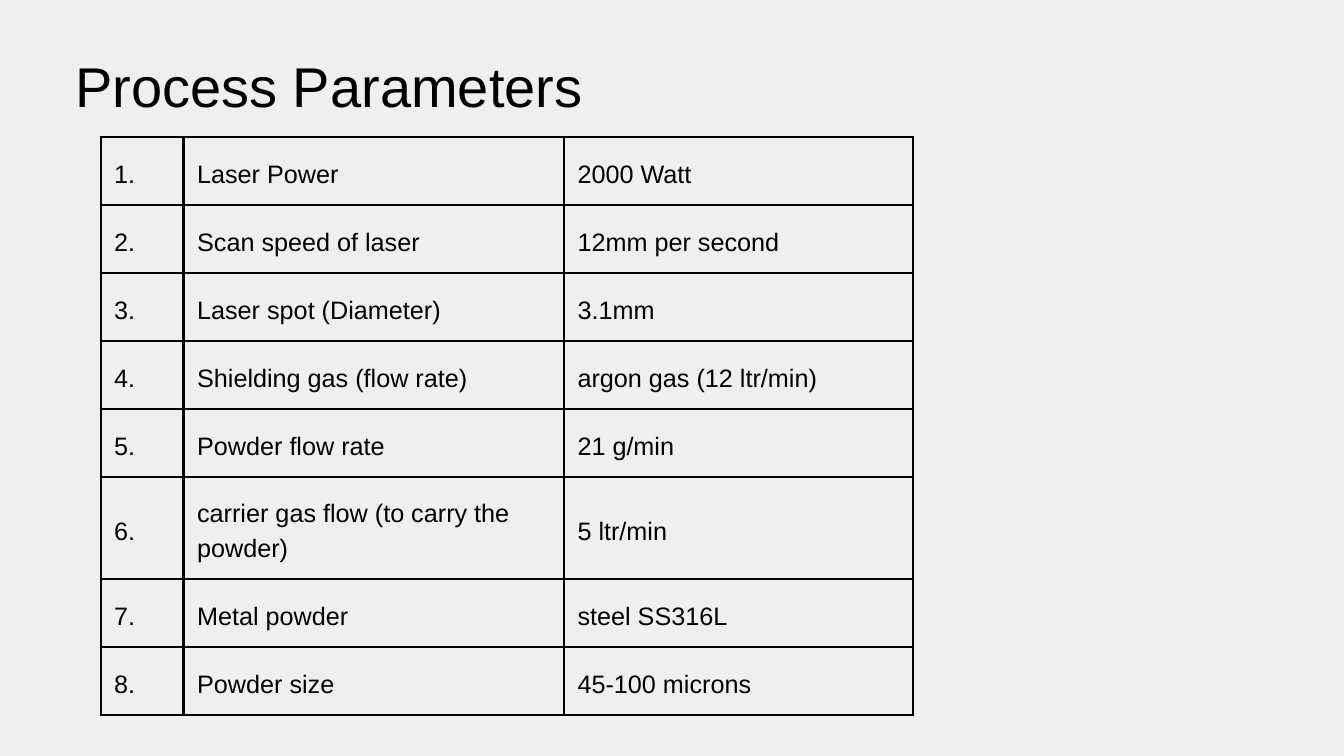
from pptx import Presentation
from pptx.dml.color import RGBColor as RGB
from pptx.enum.text import MSO_ANCHOR as Anchor
from pptx.util import Pt
from lxml.etree import SubElement as Sub
from pptx.oxml.ns import qn


def paint(fill, color):
    fill.solid()
    fill.fore_color.rgb = RGB.from_string(color)


def write(frame, text, size=27, line=37.8, inset=14.4, color="000000"):
    frame.word_wrap = True
    frame.margin_left = frame.margin_right = Pt(inset)
    frame.margin_top = frame.margin_bottom = Pt(inset)
    para = frame.paragraphs[0]
    para.line_spacing = Pt(line)
    run = para.add_run()
    run.text = text
    run.font.name = "Arial"
    run.font.size = Pt(size)
    paint(run.font.fill, color)


deck = Presentation()
deck.slide_width, deck.slide_height = Pt(1440), Pt(810)
slide = deck.slides.add_slide(deck.slide_layouts[6])
paint(slide.background.fill, "EFEFEF")

# Parameter table
rows = [
    ("Laser Power", "2000 Watt"),
    ("Scan speed of laser", "12mm per second"),
    ("Laser spot (Diameter)", "3.1mm"),
    ("Shielding gas (flow rate)", "argon gas (12 ltr/min)"),
    ("Powder flow rate", "21 g/min"),
    ("carrier gas flow (to carry the powder)", "5 ltr/min"),
    ("Metal powder", "steel SS316L"),
    ("Powder size", "45-100 microns"),
]
widths = [88.8, 407.6, 373.8]
low, tall = 72.86, 109.2
grid = slide.shapes.add_table(len(rows), len(widths), Pt(108), Pt(146.9),
                              Pt(sum(widths)), Pt(619.2)).table
grid.first_row = grid.horz_banding = False
for col, width in zip(grid.columns, widths):
    col.width = Pt(width)

for i, (name, value) in enumerate(rows):
    grid.rows[i].height = Pt(tall if i == 5 else low)
    for j, text in enumerate((f"{i + 1}.", name, value)):
        cell = grid.cell(i, j)
        write(cell.text_frame, text)
        cell.margin_left = cell.margin_right = Pt(14.4)
        cell.margin_top = cell.margin_bottom = Pt(14.4)
        cell.vertical_anchor = Anchor.MIDDLE
        # Black border on all four sides, then no fill
        props = cell._tc.get_or_add_tcPr()
        for side in ("lnL", "lnR", "lnT", "lnB"):
            edge = Sub(props, qn(f"a:{side}"), w=str(Pt(2.86)))
            Sub(Sub(edge, qn("a:solidFill")), qn("a:srgbClr"), val="000000")
        cell.fill.background()

# Title
title = slide.shapes.add_textbox(Pt(80.6), Pt(55.4), Pt(972.7), Pt(79.9))
write(title.text_frame, "Process Parameters", size=60, line=72, inset=0)

deck.save("out.pptx")
